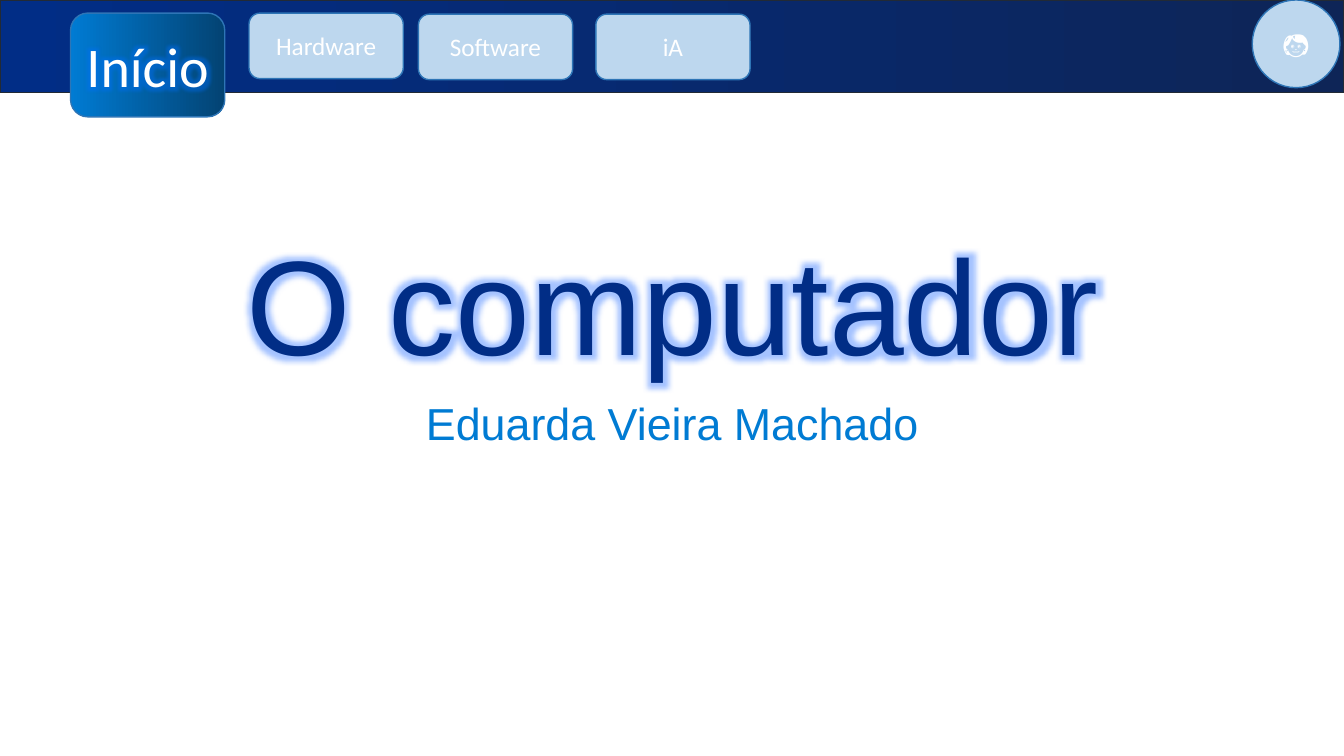
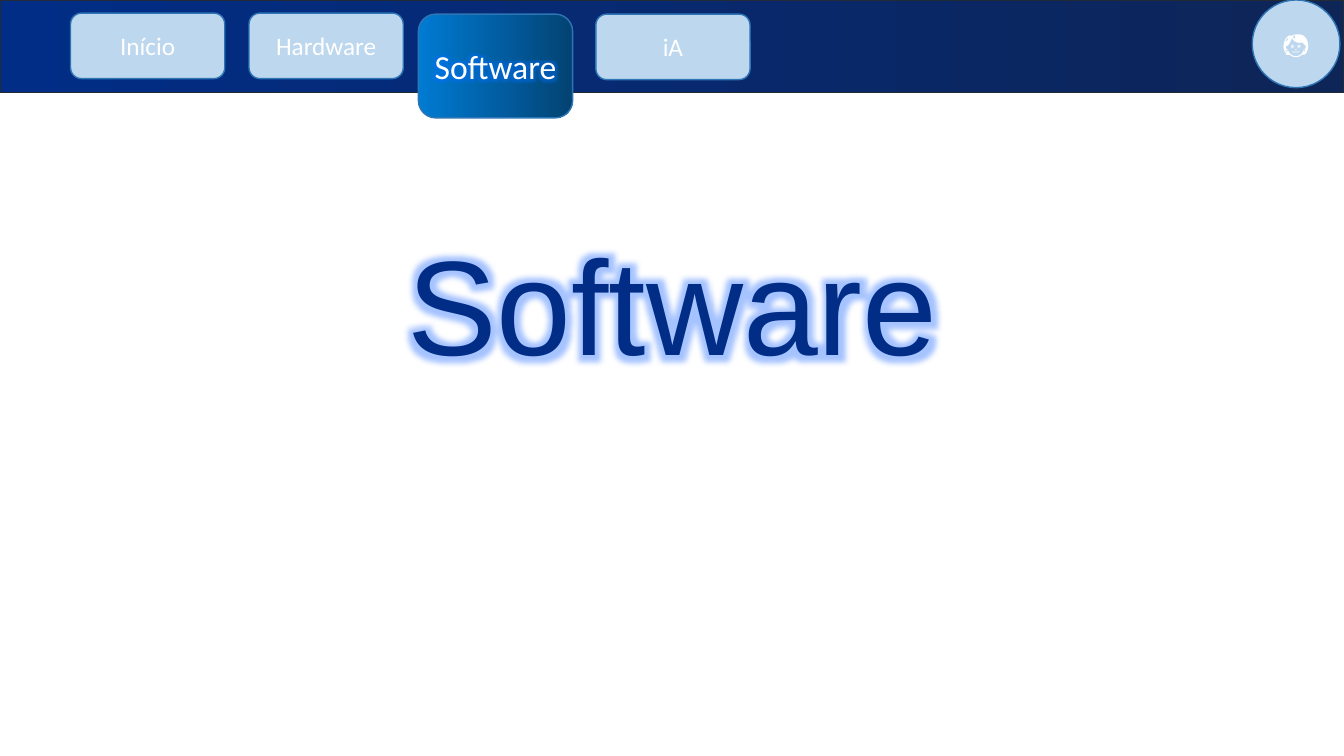
from lxml import etree
from pptx import Presentation
from pptx.dml.color import RGBColor
from pptx.enum import shapes, text
from pptx.oxml import ns
from pptx.util import Inches, Pt

COLOURS = {
    "navy": "012D86", "navy_dark": "0E2557",
    "blue": "007BD3", "blue_dark": "034373",
    "pale": "BDD7EE", "outline": "2E75B6", "band_outline": "222A35",
    "white": "FFFFFF", "title_glow": "1F69FF", "tab_glow": "0070FF",
}
NAVY, BLUE = ("navy", "navy_dark"), ("blue", "blue_dark")


def paint(fill, colours):
    """Fill with one colour name, or left to right between two."""
    if isinstance(colours, str):
        fill.solid()
        fill.fore_color.rgb = RGBColor.from_string(COLOURS[colours])
        return
    fill.gradient()
    fill.gradient_angle = 0
    for stop, colour in zip(fill.gradient_stops, colours):
        stop.color.rgb = RGBColor.from_string(COLOURS[colour])


def write(shape, words, size, font_name, colours, glow=None, line_spacing=None):
    """Set one centred line of text, with a soft glow if a colour is given."""
    shape.text_frame.word_wrap = True
    paragraph = shape.text_frame.paragraphs[0]
    paragraph.text = words
    paragraph.alignment = text.PP_ALIGN.CENTER
    paragraph.line_spacing = line_spacing
    font = paragraph.runs[0].font
    font.size, font.name = Pt(size), font_name
    paint(font.fill, colours)
    if glow:
        effects = etree.Element(ns.qn("a:effectLst"))
        halo = etree.SubElement(effects, ns.qn("a:glow"), rad=str(Pt(11)))
        colour = etree.SubElement(halo, ns.qn("a:srgbClr"), val=COLOURS[glow])
        etree.SubElement(colour, ns.qn("a:alpha"), val="40000")
        font._element.find(ns.qn("a:latin")).addprevious(effects)


presentation = Presentation()
presentation.slide_width, presentation.slide_height = Inches(13.33), Inches(7.5)

# Navigation tabs: label, left, top
TABS = [("Início", 0.7, 0.13), ("Hardware", 2.47, 0.13),
        ("Software", 4.15, 0.14), ("iA", 5.91, 0.14)]

# Slides: title, subtitle, active tab, size of its label
SLIDES = [("O computador", "Eduarda Vieira Machado", "Início", 40),
          ("Software", None, "Software", 24)]

for title, subtitle, active_tab, active_size in SLIDES:
    slide = presentation.slides.add_slide(presentation.slide_layouts[6])

    # Title and subtitle
    title_box = slide.shapes.add_textbox(Inches(1.67), Inches(1.45), Inches(10), Inches(2.39))
    title_box.text_frame.vertical_anchor = text.MSO_ANCHOR.BOTTOM
    write(title_box, title, 96, "Arial", NAVY, "title_glow", 1.3)
    if subtitle:
        subtitle_box = slide.shapes.add_textbox(Inches(1.67), Inches(3.94), Inches(10), Inches(1.81))
        write(subtitle_box, subtitle, 32, "Arial", BLUE, line_spacing=0.9)

    # Top band, tabs and round button
    parts = [("RECTANGLE", 0, 0, 13.33, 0.92, NAVY, "band_outline", None)]
    for label, left, top in TABS:
        active = label == active_tab
        parts.append(("ROUNDED_RECTANGLE", left, top, 1.53, 1.03 if active else 0.65,
                      BLUE if active else "pale", "outline", label))
    parts.append(("OVAL", 12.42, 0, 0.87, 0.87, "pale", "outline", "👩"))

    for kind, left, top, width, height, colours, outline, label in parts:
        shape = slide.shapes.add_shape(shapes.MSO_SHAPE[kind], Inches(left), Inches(top),
                                       Inches(width), Inches(height))
        shape.shadow.inherit = False
        paint(shape.fill, colours)
        paint(shape.line.fill, outline)
        shape.line.width = Pt(1)
        if label:
            active = label == active_tab
            write(shape, label, active_size if active else 18, "Calibri", "white",
                  "tab_glow" if active else None)

presentation.save("out.pptx")
